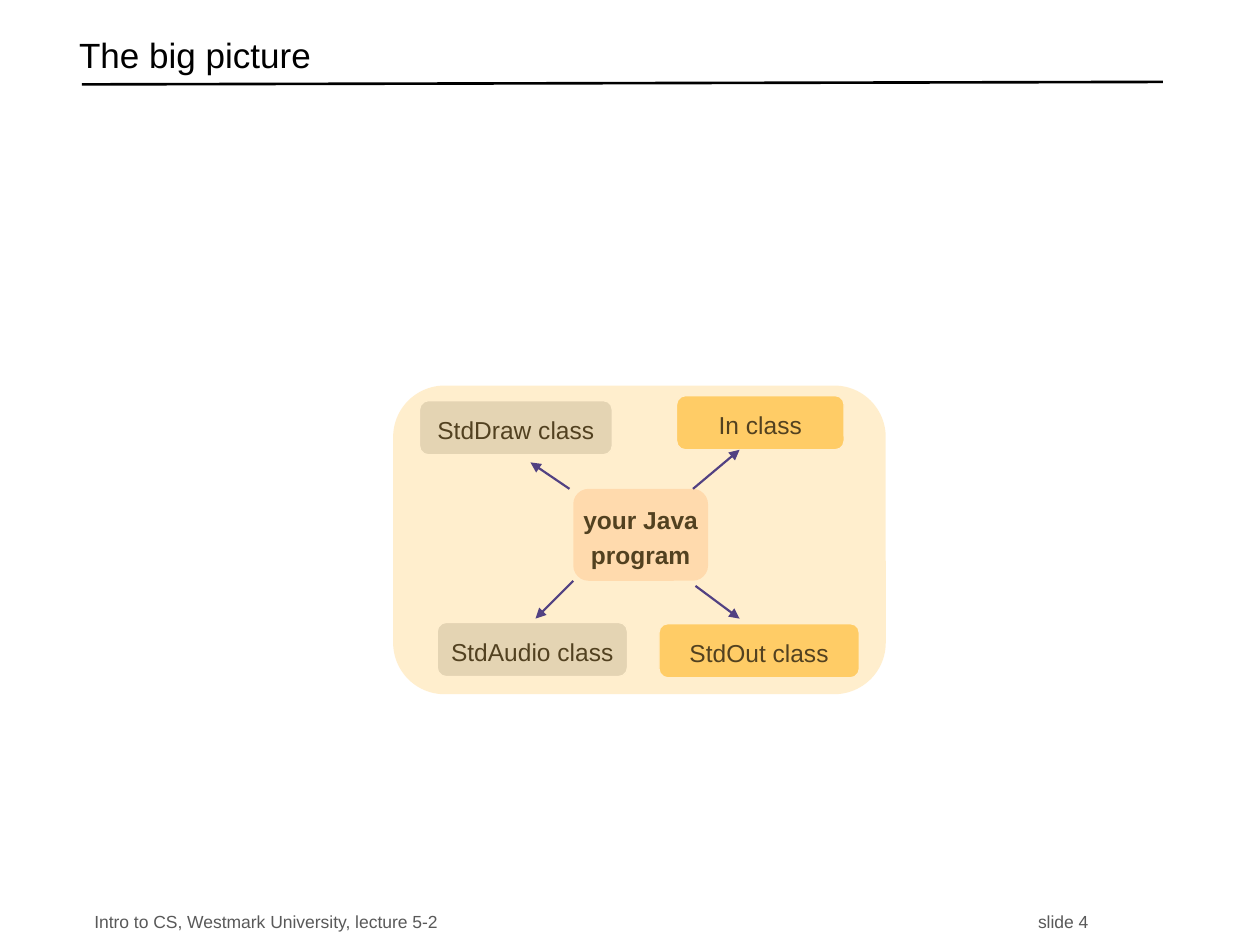
from lxml import etree
from pptx import Presentation
from pptx.dml.color import RGBColor
from pptx.enum.shapes import MSO_CONNECTOR, MSO_SHAPE
from pptx.enum.text import MSO_ANCHOR, PP_ALIGN
from pptx.oxml.ns import qn
from pptx.util import Inches, Pt

COLORS = {
    "black": "000000", "white": "FFFFFF", "footer": "595959", "arrow": "000090",
    "program": "FFE1D0", "grey": "D8D8D8", "amber": "FFCC66",
}

prs = Presentation()
prs.slide_width, prs.slide_height = Inches(10), Inches(7.5)
s = prs.slides.add_slide(prs.slide_layouts[6])


def set_text(sp, text, size, color="black", bold=False):
    tf = sp.text_frame
    tf.word_wrap = True
    tf.vertical_anchor = MSO_ANCHOR.MIDDLE
    p = tf.paragraphs[0]
    p.text = text
    p.font.name, p.font.size, p.font.bold = "Arial", Pt(size), bold
    p.font.color.rgb = RGBColor.from_string(COLORS[color])
    return p


def add_line(x1, y1, x2, y2, color, width):
    line = s.shapes.add_connector(
        MSO_CONNECTOR.STRAIGHT, Inches(x1), Inches(y1), Inches(x2), Inches(y2))
    line.line.color.rgb = RGBColor.from_string(COLORS[color])
    line.line.width = Pt(width)
    etree.SubElement(line._element.spPr, qn("a:effectLst"))
    return line


# Title and rule
add_line(0.65, 0.67, 9.23, 0.65, "black", 1.5)
title = s.shapes.add_textbox(Inches(0.53), Inches(0.22), Inches(8.6), Inches(0.5))
set_text(title, "The big picture", 20).line_spacing = 0.7

# Footer, with the slide number at a tab stop
footer = s.shapes.add_textbox(Inches(0.65), Inches(7.19), Inches(8.6), Inches(0.25))
p = set_text(footer, "Intro to CS, Westmark University, lecture 5-2\tslide 4", 10, "footer")
tabs = etree.SubElement(p._p.get_or_add_pPr(), qn("a:tabLst"))
etree.SubElement(tabs, qn("a:tab"), pos=str(Inches(7.49)), algn="l")

# Program and class boxes: text, left, top, width, height, fill
boxes = [
    ("your Java program", 4.55, 3.88, 1.07, 0.73, "program"),
    ("StdDraw class", 3.33, 3.18, 1.53, 0.43, "grey"),
    ("In class", 5.37, 3.14, 1.33, 0.43, "amber"),
    ("StdAudio class", 3.47, 4.94, 1.51, 0.43, "grey"),
    ("StdOut class", 5.23, 4.95, 1.59, 0.43, "amber"),
]
for text, x, y, w, h, fill in boxes:
    is_program = fill == "program"
    sp = s.shapes.add_shape(
        MSO_SHAPE.ROUNDED_RECTANGLE, Inches(x), Inches(y), Inches(w), Inches(h))
    sp.shadow.inherit = False
    sp.fill.solid()
    sp.fill.fore_color.rgb = RGBColor.from_string(COLORS[fill])
    if is_program:
        sp.line.fill.background()
    else:
        sp.line.color.rgb = RGBColor.from_string(COLORS["white"])
        sp.line.width = Pt(0.75)
    p = set_text(sp, text, 14, bold=is_program)
    p.alignment = PP_ALIGN.CENTER
    p.line_spacing = 1.17
    sp.text_frame.margin_left = sp.text_frame.margin_right = 0

# Arrows from the program to the classes
for ends in [(4.52, 3.88, 4.21, 3.67), (5.5, 3.88, 5.87, 3.57),
             (4.55, 4.61, 4.25, 4.91), (5.52, 4.65, 5.87, 4.91)]:
    arrow = add_line(*ends, "arrow", 1.25)
    etree.SubElement(arrow.line._get_or_add_ln(), qn("a:tailEnd"), type="triangle")

# Translucent panel over the diagram
panel = s.shapes.add_shape(
    MSO_SHAPE.ROUNDED_RECTANGLE, Inches(3.12), Inches(3.06), Inches(3.91), Inches(2.45))
panel.shadow.inherit = False
panel.fill.solid()
panel.fill.fore_color.rgb = RGBColor.from_string(COLORS["amber"])
panel.line.fill.background()
color = panel._element.spPr.find(qn("a:solidFill")).find(qn("a:srgbClr"))
etree.SubElement(color, qn("a:alpha"), val="32000")

prs.save("out.pptx")
